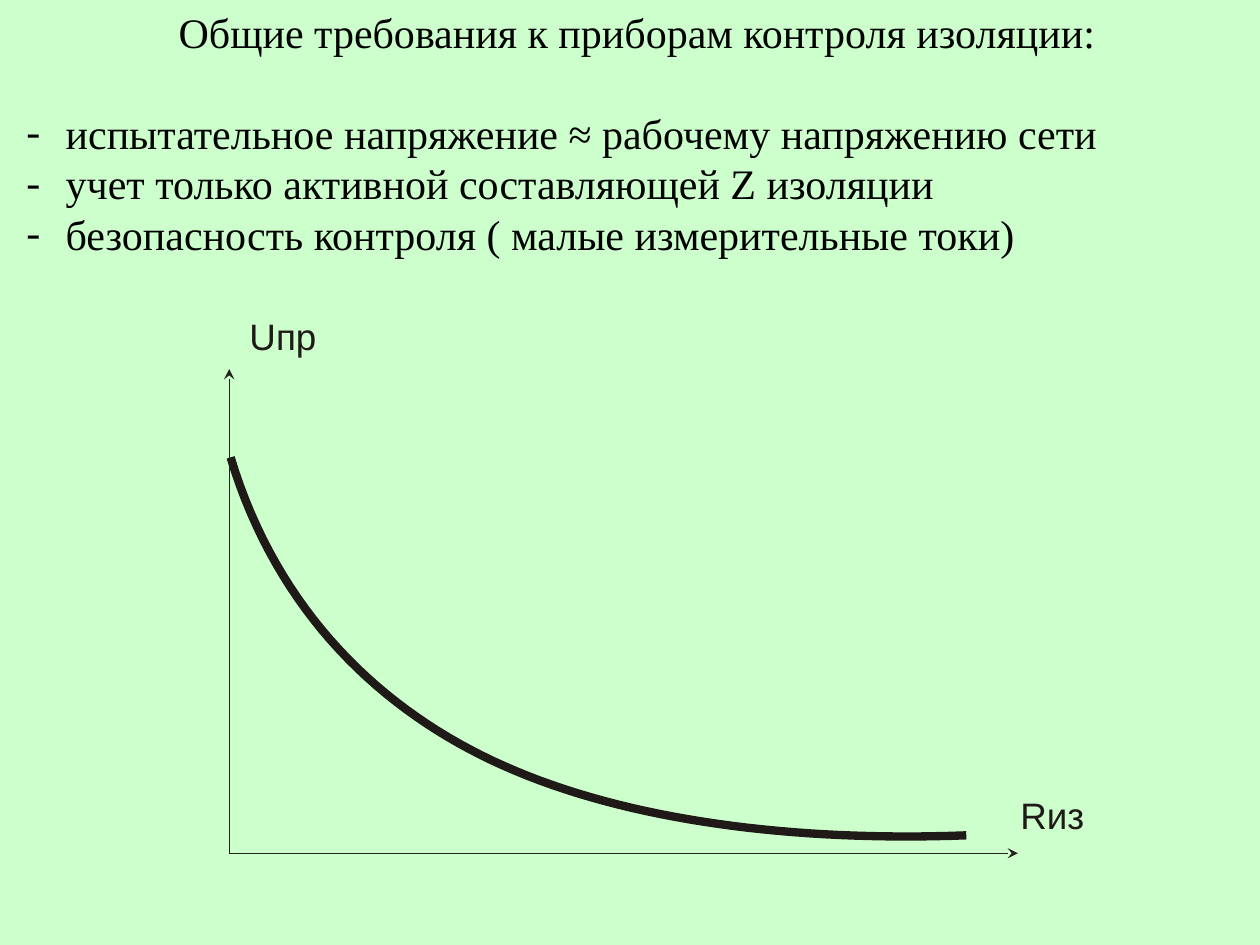
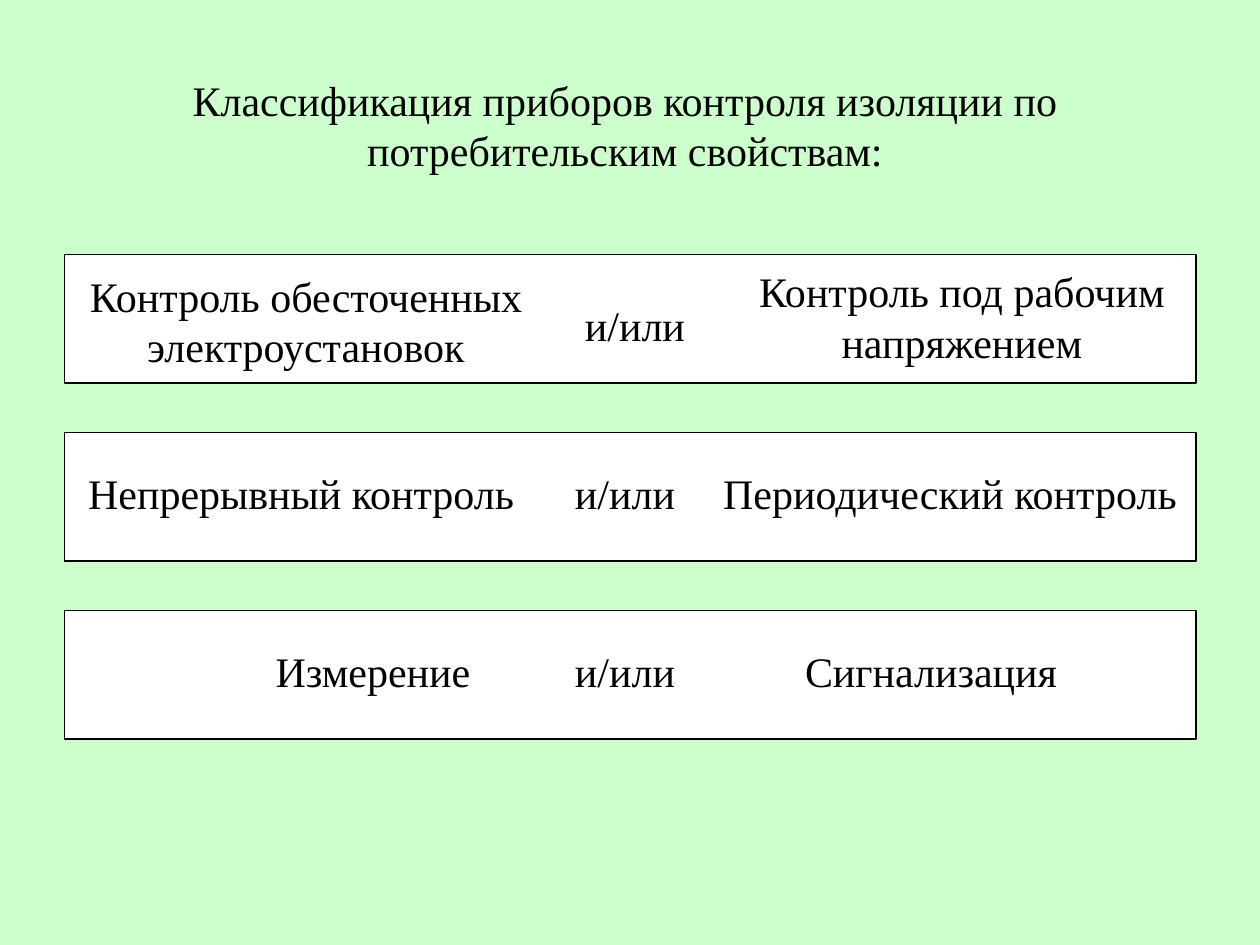
from dataclasses import dataclass

from lxml import etree
from pptx import Presentation
from pptx.dml.color import RGBColor
from pptx.enum.shapes import MSO_CONNECTOR, MSO_SHAPE
from pptx.enum.text import MSO_ANCHOR, MSO_AUTO_SIZE, PP_ALIGN
from pptx.oxml.ns import qn
from pptx.util import Cm, Pt

LEFT, CENTER = PP_ALIGN.LEFT, PP_ALIGN.CENTER
TOP = MSO_ANCHOR.TOP
NO_AUTOFIT = MSO_AUTO_SIZE.NONE
STRAIGHT = MSO_CONNECTOR.STRAIGHT
RECTANGLE = MSO_SHAPE.RECTANGLE

PALE_GREEN = RGBColor(0xCC, 0xFF, 0xCC)
WHITE = RGBColor(0xFF, 0xFF, 0xFF)
BLACK = RGBColor(0, 0, 0)
AXIS_COLOR = RGBColor(0x25, 0x22, 0x1E)
CURVE_COLOR = RGBColor(0x1F, 0x1A, 0x17)

SERIF, SANS = "Times New Roman", "Arial"
TITLE_AND_CONTENT, TITLE_ONLY = 1, 5

Point = tuple[float, float]


@dataclass(frozen=True)
class Box:
    """A rectangle in centimetres."""
    left: float
    top: float
    width: float
    height: float

    def lengths(self) -> tuple[Cm, Cm, Cm, Cm]:
        return Cm(self.left), Cm(self.top), Cm(self.width), Cm(self.height)


@dataclass(frozen=True)
class Axis:
    end: Point
    label: str
    label_box: Box


@dataclass(frozen=True)
class Caption:
    """Text centred on a column, at a drop below the top of its band."""
    text: str
    center: float
    drop: float = 0.58
    width: float = 9.7


REQUIREMENTS = [
    "испытательное напряжение ≈ рабочему напряжению сети",
    "учет только активной составляющей Z изоляции",
    "безопасность контроля ( малые измерительные токи)",
]
BULLET_INDENT = Cm(0.79)

ORIGIN = (4.62, 17.2)
AXES = [
    Axis((20.52, 17.2), "Rиз", Box(20.57, 15.98, 1.6, 0.89)),
    Axis((4.62, 7.44), "Uпр", Box(5.03, 6.32, 1.6, 0.89)),
]
# Two cubic Bézier arcs sharing the middle point
VOLTAGE_CURVE = [
    (4.65, 9.22), (5.59, 12.34), (7.7, 14.35), (10.16, 15.44),
    (12.67, 16.56), (16.05, 16.97), (19.48, 16.84),
]
STEPS_PER_ARC = 32

FIRST_BAND = Box(1.3, 5.13, 22.81, 2.59)
BAND_PITCH = 3.59
AND_OR = "и/или"
BANDS = [
    [Caption("Контроль обесточенных электроустановок", 6.17, 0.2),
     Caption(AND_OR, 12.8, 0.79, 2.6),
     Caption("Контроль под рабочим напряжением", 19.39, 0.1, 11)],
    [Caption("Непрерывный контроль", 6.07),
     Caption(AND_OR, 12.6, width=2.6),
     Caption("Периодический контроль", 19.15)],
    [Caption("Измерение", 7.52),
     Caption(AND_OR, 12.6, width=2.6),
     Caption("Сигнализация", 18.77)],
]


def format_paragraph(paragraph, alignment=CENTER, typeface=SERIF, size=24,
                     color=BLACK) -> None:
    paragraph.alignment = alignment
    paragraph.space_before = Pt(0)
    paragraph.font.name = typeface
    paragraph.font.size = Pt(size)
    paragraph.font.color.rgb = color


def place(placeholder, box: Box) -> None:
    (placeholder.left, placeholder.top,
     placeholder.width, placeholder.height) = box.lengths()
    frame = placeholder.text_frame
    frame.auto_size = NO_AUTOFIT
    frame.vertical_anchor = TOP


def add_titled_slide(prs, layout: int, title: str, box: Box):
    slide = prs.slides.add_slide(prs.slide_layouts[layout])
    heading = slide.shapes.title
    heading.text_frame.text = title
    place(heading, box)
    format_paragraph(heading.text_frame.paragraphs[0])
    return slide


def add_dash(paragraph) -> None:
    properties = paragraph._p.get_or_add_pPr()
    properties.set("marL", str(BULLET_INDENT))
    properties.set("indent", str(-BULLET_INDENT))
    etree.SubElement(properties, qn("a:buFont"), typeface=SERIF)
    etree.SubElement(properties, qn("a:buChar"), char="-")


def fill_requirements(body, box: Box) -> None:
    body.text_frame.text = "\n".join(REQUIREMENTS)
    place(body, box)
    for paragraph in body.text_frame.paragraphs:
        add_dash(paragraph)
        format_paragraph(paragraph, LEFT)


def add_axis(slide, axis: Axis) -> None:
    arrow = slide.shapes.add_connector(
        STRAIGHT, *map(Cm, ORIGIN), *map(Cm, axis.end))
    arrow.line.color.rgb = AXIS_COLOR
    arrow.line.width = Pt(0.5)
    etree.SubElement(arrow.line._get_or_add_ln(), qn("a:tailEnd"),
                     type="stealth")
    etree.SubElement(arrow._element.spPr, qn("a:effectLst"))

    frame = slide.shapes.add_textbox(*axis.label_box.lengths()).text_frame
    frame.margin_left = frame.margin_right = 0
    frame.margin_top = frame.margin_bottom = 0
    frame.text = axis.label
    format_paragraph(frame.paragraphs[0], LEFT, SANS, 21, CURVE_COLOR)


def bezier_point(arc: list[Point], t: float) -> Point:
    weights = ((1 - t) ** 3, 3 * t * (1 - t) ** 2, 3 * t ** 2 * (1 - t), t ** 3)
    x, y = (sum(w * c for w, c in zip(weights, axis)) for axis in zip(*arc))
    return x, y


def add_curve(slide, controls: list[Point]) -> None:
    points = [
        bezier_point(controls[start:start + 4], step / STEPS_PER_ARC)
        for start in range(0, len(controls) - 1, 3)
        for step in range(1, STEPS_PER_ARC + 1)
    ]
    builder = slide.shapes.build_freeform(*map(Cm, controls[0]))
    builder.add_line_segments([(Cm(x), Cm(y)) for x, y in points], close=False)
    curve = builder.convert_to_shape()
    curve.shadow.inherit = False
    curve.fill.background()
    curve.line.color.rgb = CURVE_COLOR
    curve.line.width = Pt(4.75)


def add_band(slide, top: float, captions: list[Caption]) -> None:
    box = Box(FIRST_BAND.left, top, FIRST_BAND.width, FIRST_BAND.height)
    band = slide.shapes.add_shape(RECTANGLE, *box.lengths())
    band.shadow.inherit = False
    band.fill.solid()
    band.fill.fore_color.rgb = WHITE
    band.line.color.rgb = BLACK
    band.line.width = Pt(0.75)
    for caption in captions:
        place_for_text = Box(caption.center - caption.width / 2,
                             top + caption.drop, caption.width, 1.27)
        frame = slide.shapes.add_textbox(*place_for_text.lengths()).text_frame
        frame.word_wrap = True
        frame.text = caption.text
        format_paragraph(frame.paragraphs[0])


def build_requirements(prs) -> None:
    slide = add_titled_slide(
        prs, TITLE_AND_CONTENT,
        "Общие требования к приборам контроля изоляции:",
        Box(0.28, 0, 25.12, 1.27))
    fill_requirements(slide.placeholders[1], Box(0.28, 2.04, 25.12, 3.3))
    for axis in AXES:
        add_axis(slide, axis)
    add_curve(slide, VOLTAGE_CURVE)


def build_classification(prs) -> None:
    slide = add_titled_slide(
        prs, TITLE_ONLY,
        "Классификация приборов контроля изоляции по потребительским свойствам:",
        Box(0.5, 1.37, 24.2, 2.29))
    for row, captions in enumerate(BANDS):
        add_band(slide, FIRST_BAND.top + row * BAND_PITCH, captions)


def main() -> None:
    prs = Presentation()
    prs.slide_width, prs.slide_height = Cm(25.4), Cm(19.05)
    background = prs.slide_master.background.fill
    background.solid()
    background.fore_color.rgb = PALE_GREEN
    build_requirements(prs)
    build_classification(prs)
    prs.save("out.pptx")


if __name__ == "__main__":
    main()
